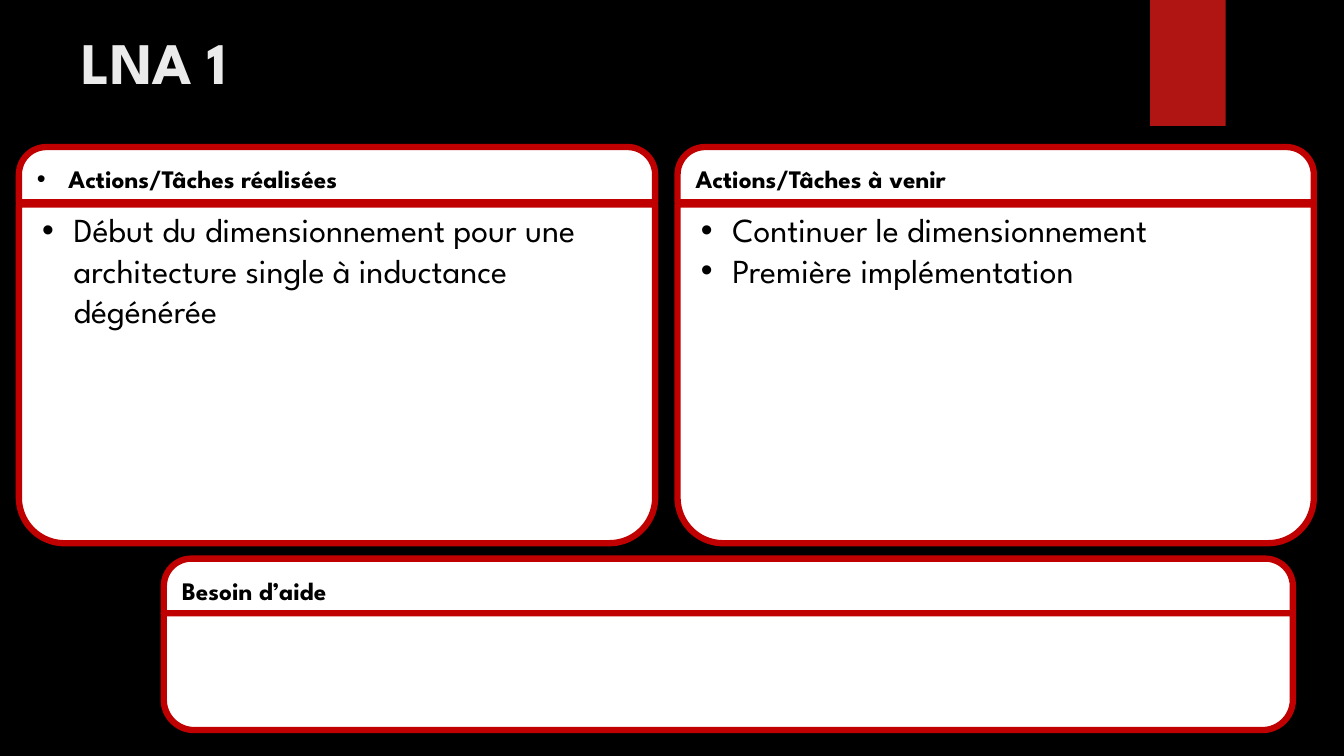
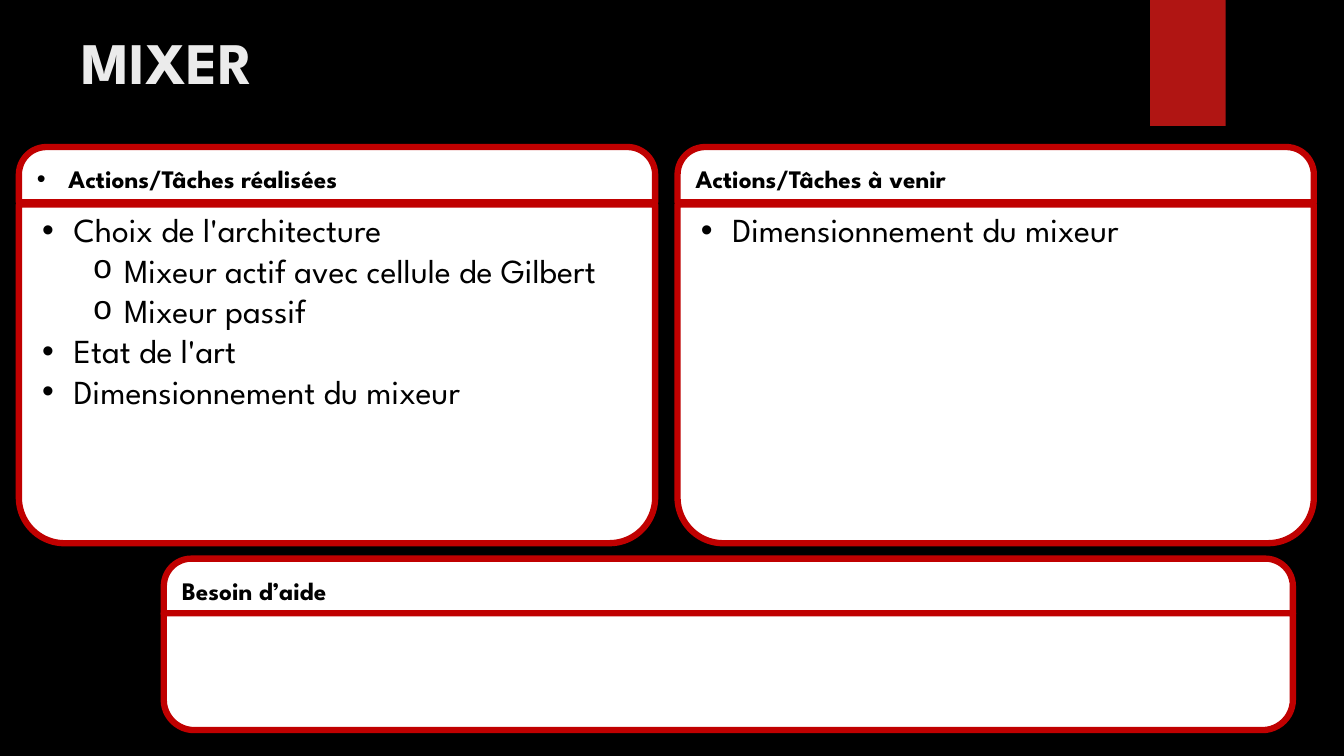
import pptx
import pptx.util
import pptx.dml.color
import pptx.enum.shapes
import pptx.enum.text
import pptx.oxml.ns
import lxml.etree
from dataclasses import dataclass

Pt = pptx.util.Pt
RGB = pptx.dml.color.RGBColor.from_string
SHAPE = pptx.enum.shapes.MSO_SHAPE
ANCHOR = pptx.enum.text.MSO_ANCHOR


@dataclass(frozen=True)
class Theme:
    font: str = "League Spartan"
    back: str = "000000"
    card: str = "FFFFFF"
    border: str = "C00000"
    accent: str = "B01513"
    title: str = "EBEBEB"
    text: str = "000000"
    title_size: float = 42
    header_size: float = 18
    body_size: float = 24
    border_width: float = 4.5


theme = Theme()
BULLETS = [("•", "Arial", 22.5), ("o", "Courier New", 58.5)]  # sign, font, indent
HANG = 22.5


def write(tf, lines, size, color=theme.text, bold=False, bullets=False, anchor=ANCHOR.TOP):
    """Fill a text frame with (level, text) lines."""
    tf.word_wrap = True
    tf.vertical_anchor = anchor
    for i, (level, text) in enumerate(lines):
        p = tf.paragraphs[0] if i == 0 else tf.add_paragraph()
        p.alignment = pptx.enum.text.PP_ALIGN.LEFT
        p.level = level
        if bullets:
            sign, face, indent = BULLETS[level]
            ppr = p._p.get_or_add_pPr()
            ppr.set("marL", str(Pt(indent)))
            ppr.set("indent", str(-Pt(HANG)))
            for tag, key, value in (("a:buFont", "typeface", face), ("a:buChar", "char", sign)):
                lxml.etree.SubElement(ppr, pptx.oxml.ns.qn(tag)).set(key, value)
        r = p.add_run()
        r.text = text
        r.font.name = theme.font
        r.font.size = Pt(size)
        r.font.bold = bold
        r.font.color.rgb = RGB(color)


def add_box(s, kind, x, y, w, h, fill, line=None):
    """Add a flat preset shape, with a border if a line colour is given."""
    sp = s.shapes.add_shape(kind, Pt(x), Pt(y), Pt(w), Pt(h))
    sp.shadow.inherit = False
    sp.fill.solid()
    sp.fill.fore_color.rgb = RGB(fill)
    if line:
        sp.line.color.rgb = RGB(line)
        sp.line.width = Pt(theme.border_width)
    else:
        sp.line.fill.background()
    return sp


# Cards: header, header bulleted, left, width, header top, body top, body height, corner
HEADER_HEIGHT = 39.5
CARDS = [
    ("Besoin d’aide", False, 117, 806.5, 399, 438, 83.5, 0.26),
    ("Actions/Tâches réalisées", True, 13.5, 454.5, 105, 146, 242, 0.135),
    ("Actions/Tâches à venir", False, 484, 454.5, 105, 146, 242, 0.135),
]

# Content: title, then the lines of each card
SLIDES = [
    ("LNA 1", {
        "Actions/Tâches réalisées": [
            (0, "Début du dimensionnement pour une architecture single à inductance dégénérée"),
        ],
        "Actions/Tâches à venir": [
            (0, "Continuer le dimensionnement"),
            (0, "Première implémentation"),
        ],
    }),
    ("MIXER", {
        "Actions/Tâches réalisées": [
            (0, "Choix de l'architecture"),
            (1, "Mixeur actif avec cellule de Gilbert"),
            (1, "Mixeur passif"),
            (0, "Etat de l'art"),
            (0, "Dimensionnement du mixeur"),
        ],
        "Actions/Tâches à venir": [(0, "Dimensionnement du mixeur")],
    }),
]

prs = pptx.Presentation()
prs.slide_width, prs.slide_height = Pt(960), Pt(540)

for title, content in SLIDES:
    s = prs.slides.add_slide(prs.slide_layouts[6])
    s.background.fill.solid()
    s.background.fill.fore_color.rgb = RGB(theme.back)

    # Red tab and title
    add_box(s, SHAPE.RECTANGLE, 821.5, 0, 54, 90, theme.accent)
    tb = s.shapes.add_textbox(Pt(51), Pt(15), Pt(741), Pt(110))
    write(tb.text_frame, [(0, title)], theme.title_size, color=theme.title, bold=True)

    # Cards: rounded header on top, rounded body below
    for header, bulleted, x, w, header_y, body_y, body_h, corner in CARDS:
        sp = add_box(s, SHAPE.ROUND_2_SAME_RECTANGLE, x, header_y, w, HEADER_HEIGHT,
                     theme.card, theme.border)
        sp.adjustments[0], sp.adjustments[1] = 0.5, 0
        write(sp.text_frame, [(0, header)], theme.header_size, bold=True,
              bullets=bulleted, anchor=ANCHOR.MIDDLE)

        sp = add_box(s, SHAPE.ROUND_2_SAME_RECTANGLE, x, body_y, w, body_h,
                     theme.card, theme.border)
        sp.adjustments[0], sp.adjustments[1] = 0, corner
        write(sp.text_frame, content.get(header, []), theme.body_size, bullets=True)

prs.save("out.pptx")
